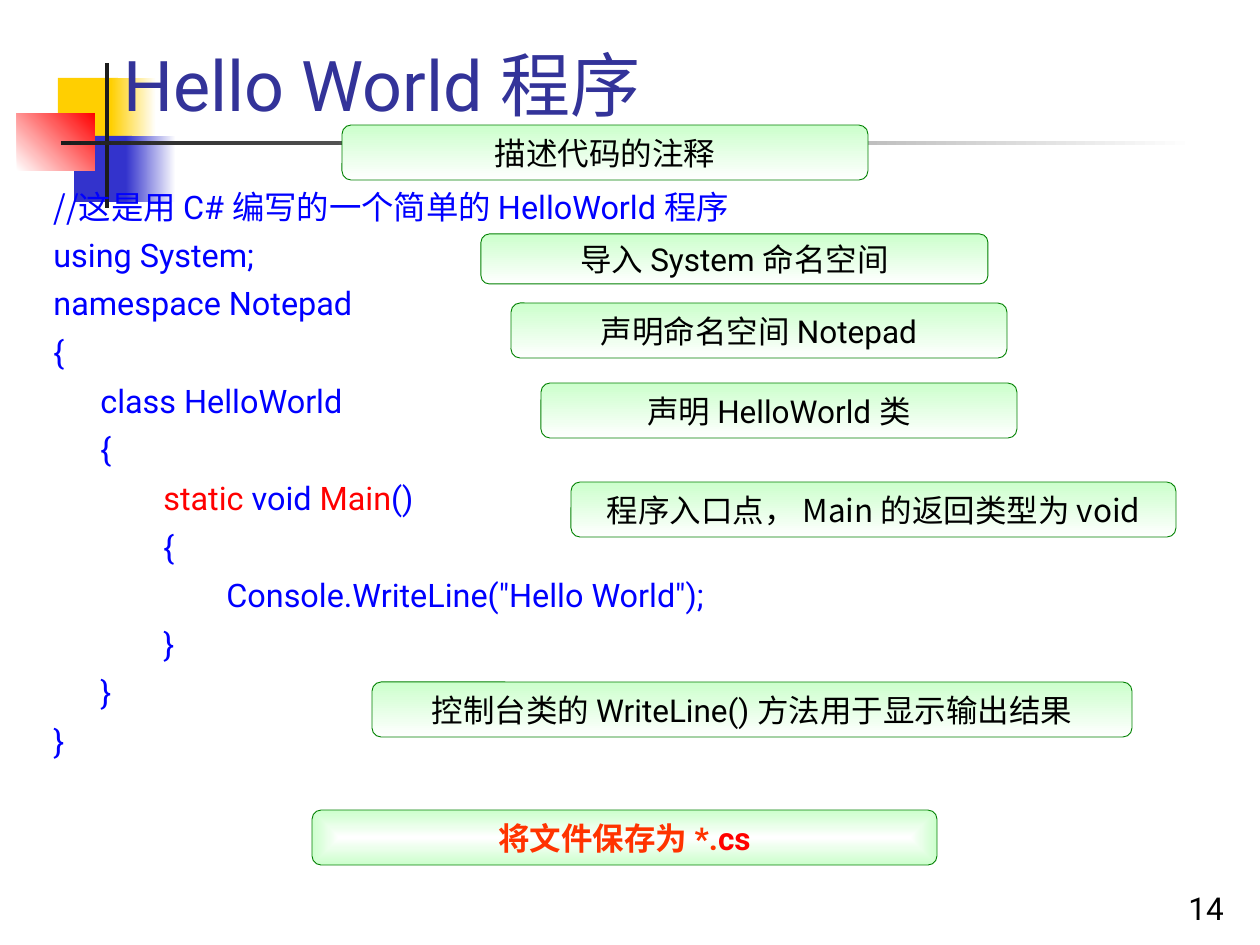
from lxml import etree
from pptx import Presentation
from pptx import util as u
from pptx.dml.color import RGBColor
from pptx.enum import shapes, text
from pptx.oxml.ns import qn

LATIN, CHINESE = "Roboto", "Noto Sans CJK SC"
CODE, RED, BLACK = "0000FF", "FF0000", "000000"


def px(*lengths):
    return [round(n * 914400 / 126) for n in lengths]


def color(code):
    return RGBColor.from_string(code)


deck = Presentation()
deck.slide_width, deck.slide_height = px(1260, 945)
page = deck.slides.add_slide(deck.slide_layouts[5])


def add_span(para, words, size, code, font=LATIN, bold=False):
    span = para.add_run()
    span.text = words
    span.font.size, span.font.bold = u.Pt(size), bold
    span.font.color.rgb = color(code)
    span.font.name = font
    east_asian = etree.SubElement(span.font._element, qn("a:ea"))
    east_asian.set("typeface", CHINESE)


def add_block(preset, place, fills, angle=0):
    block = page.shapes.add_shape(preset, *px(*place))
    block.shadow.inherit = False
    block.line.fill.background()
    if len(fills) == 1:
        block.fill.solid()
        block.fill.fore_color.rgb = color(fills[0])
    else:
        block.fill.gradient()
        block.fill.gradient_angle = angle
        for stop, code, position in zip(block.fill.gradient_stops, fills, (0, 1)):
            stop.color.rgb = color(code)
            stop.position = position
    return block


# Corner decoration: coloured squares, vertical bar, fading rule
for place, fills, angle in [
    ((58, 78, 60, 66), ["FFCF01"], 0),
    ((111, 78, 45, 66), ["FFCF01", "FFFFFF"], 0),
    ((74, 136, 58, 66), ["3333CC"], 0),
    ((126, 136, 50, 66), ["3333CC", "FFFFFF"], 0),
    ((17, 113, 78, 58), ["FFFFFF", "FF0000"], 45),
    ((105, 63, 4, 145), ["1C1C1C"], 0),
    ((61, 141, 1134, 4), ["1C1C1C", "FFFFFF"], 0),
]:
    add_block(shapes.MSO_SHAPE.RECTANGLE, place, fills, angle)

# Title, brought in front of the decoration
title = page.shapes.title
title.left, title.top, title.width, title.height = px(111, 35, 1134, 110)
title.text_frame.vertical_anchor = text.MSO_ANCHOR.TOP
title.text_frame.auto_size = text.MSO_AUTO_SIZE.NONE
para = title.text_frame.paragraphs[0]
para.alignment = text.PP_ALIGN.LEFT
add_span(para, "Hello World ", 40, "333399")
add_span(para, "程序", 40, "333399", CHINESE)
title.element.getparent().append(title.element)

# Page number
number = page.shapes.add_textbox(*px(1176, 883, 73, 58))
add_span(number.text_frame.paragraphs[0], "14", 18, BLACK)

# Code listing: each line is a list of (words, colour, font)
code_lines = [
    [("//这是用 ", CODE, CHINESE), ("C# ", CODE, LATIN),
     ("编写的一个简单的 ", CODE, CHINESE), ("HelloWorld ", CODE, LATIN),
     ("程序", CODE, CHINESE)],
    [("using System;", CODE, LATIN)],
    [("namespace Notepad", CODE, LATIN)],
    [("{", CODE, LATIN)],
    [("\tclass HelloWorld", CODE, LATIN)],
    [("\t{", CODE, LATIN)],
    [("\t\t", CODE, LATIN), ("static", RED, LATIN), (" void ", CODE, LATIN),
     ("Main", RED, LATIN), ("()", CODE, LATIN)],
    [("\t\t{", CODE, LATIN)],
    [('\t\t\tConsole.WriteLine("Hello World");', CODE, LATIN)],
    [("\t\t}", CODE, LATIN)],
    [("\t}", CODE, LATIN)],
    [("}", CODE, LATIN)],
]
listing = page.shapes.add_textbox(*px(41, 188, 1177, 568))
listing.text_frame.word_wrap = True
hang = px(47)[0]
for row, spans in enumerate(code_lines):
    frame = listing.text_frame
    para = frame.add_paragraph() if row else frame.paragraphs[0]
    para.space_before = u.Pt(5.55)
    para.line_spacing = 1.0 if row else 0.8
    settings = para._p.get_or_add_pPr()
    settings.set("marL", str(hang))
    settings.set("indent", str(-hang))
    tabs = etree.SubElement(settings, qn("a:tabLst"))
    for inch in range(8):
        etree.SubElement(tabs, qn("a:tab"), pos=str(u.Inches(inch)), algn="l")
    for words, code, font in spans:
        add_span(para, words, 18.5, code, font)

# Green callouts explaining the code
GREEN = ["CCFFCC", "FFFFFF"]
for place, fills, spans in [
    ((541, 383, 476, 55), GREEN, [("声明 HelloWorld 类", BLACK, LATIN, False)]),
    ((342, 125, 526, 55), GREEN, [("描述代码的注释", BLACK, LATIN, False)]),
    ((571, 482, 605, 55), GREEN,
     [("程序入口点， Main 的返回类型为 void", BLACK, CHINESE, False)]),
    ((372, 682, 760, 55), GREEN,
     [("控制台类的 WriteLine() 方法用于显示输出结果", BLACK, LATIN, False)]),
    ((481, 234, 507, 50), GREEN, [("导入 System 命名空间", BLACK, LATIN, False)]),
    ((511, 303, 496, 55), GREEN, [("声明命名空间 Notepad", BLACK, LATIN, False)]),
    ((312, 810, 625, 55), GREEN[::-1],
     [("将文件保存为 *.", "FF3300", LATIN, True), ("cs", RED, LATIN, True)]),
]:
    box = add_block(shapes.MSO_SHAPE.FLOWCHART_ALTERNATE_PROCESS, place, fills, 270)
    box.line.color.rgb = color("008000")
    box.line.width = u.Pt(0.5)
    box.text_frame.word_wrap = False
    box.text_frame.vertical_anchor = text.MSO_ANCHOR.MIDDLE
    para = box.text_frame.paragraphs[0]
    para.alignment = text.PP_ALIGN.CENTER
    for words, code, font, bold in spans:
        add_span(para, words, 18, code, font, bold)

# The last callout fades from its centre outwards
gradient = box.element.spPr.find(qn("a:gradFill"))
gradient.remove(gradient.find(qn("a:lin")))
shade = etree.SubElement(gradient, qn("a:path"), {"path": "rect"})
etree.SubElement(shade, qn("a:fillToRect"), dict.fromkeys("ltrb", "50000"))

deck.save("out.pptx")
